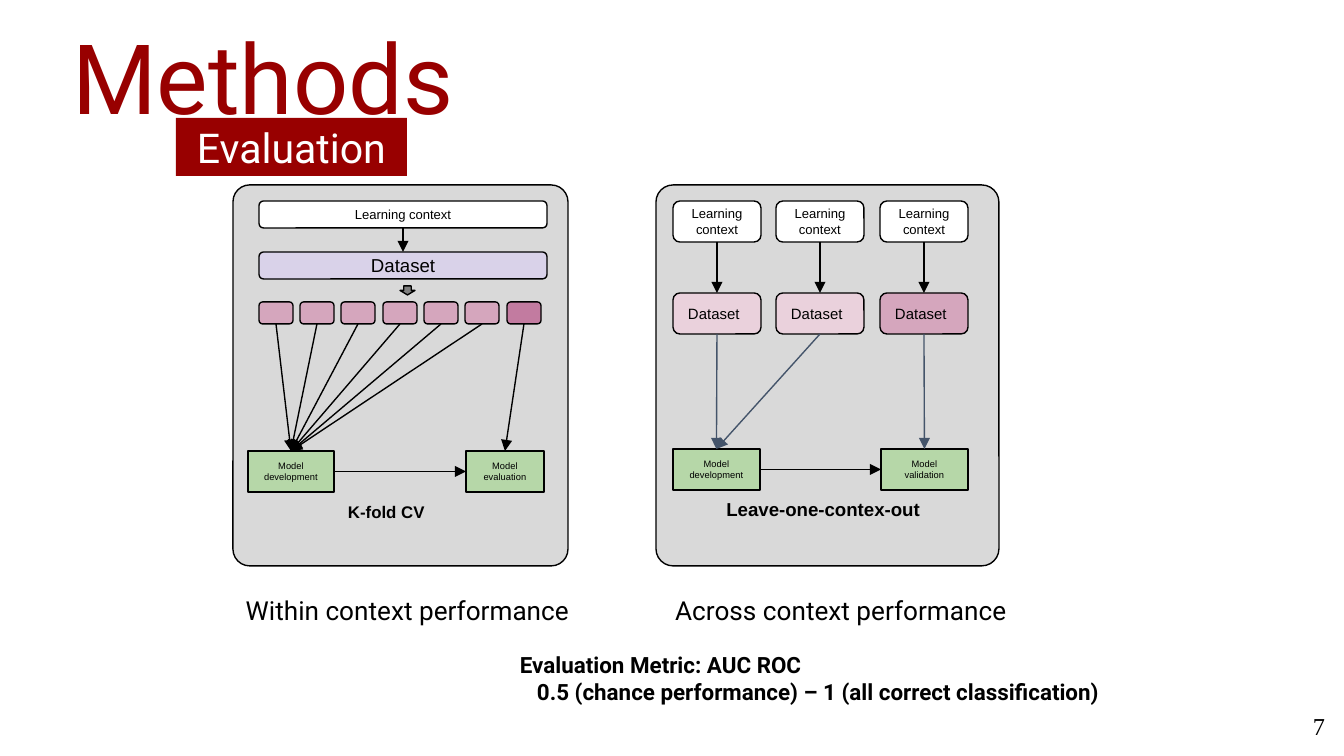
from dataclasses import dataclass

from lxml.etree import SubElement
from pptx import Presentation
from pptx.dml.color import RGBColor
from pptx.enum.shapes import MSO_CONNECTOR, MSO_SHAPE
from pptx.enum.text import MSO_ANCHOR, MSO_AUTO_SIZE, PP_ALIGN
from pptx.oxml.ns import qn
from pptx.util import Emu, Pt


@dataclass(frozen=True)
class Theme:
    heading_font: str = "Roboto"
    diagram_font: str = "Arial"
    number_font: str = "Times New Roman"
    black: str = "000000"
    white: str = "FFFFFF"
    accent: str = "980000"
    panel: str = "D9D9D9"
    dataset: str = "D9D2E9"
    training_context: str = "EAD1DC"
    training_fold: str = "D5A6BD"
    test_fold: str = "C27BA0"
    model: str = "B6D7A8"
    split_arrow: str = "7F7F7F"
    slate: str = "44546A"
    title_size: int = 52
    tag_size: int = 22
    caption_size: int = 14
    number_size: int = 13
    metric_size: int = 12
    large_label: int = 10
    panel_label: int = 9
    medium_label: int = 8
    small_label: int = 7
    model_label: int = 5
    line_width: float = 0.75


THEME = Theme()
EMU_PER_PX = 914400 / 134.4
SLIDE_SIZE = (1344, 756)
INSET = 13
TOP, LEFT, BOTTOM, RIGHT = range(4)


def px(length):
    return Emu(round(length * EMU_PER_PX))


def color(value):
    return RGBColor.from_string(value)


def set_insets(frame, horizontal=INSET, vertical=INSET):
    frame.margin_left = frame.margin_right = px(horizontal)
    frame.margin_top = frame.margin_bottom = px(vertical)
    frame.word_wrap = True


def write(paragraph, text, size, font=THEME.diagram_font, ink=THEME.black,
          bold=False, align=PP_ALIGN.CENTER):
    paragraph.alignment = align
    run = paragraph.add_run()
    run.text = text
    run.font.size = Pt(size)
    run.font.name = font
    run.font.bold = bold
    run.font.color.rgb = color(ink)


def add_box(slide, bounds, fill, kind=MSO_SHAPE.ROUNDED_RECTANGLE,
            outlined=True, text="", size=THEME.small_label, **style):
    shape = slide.shapes.add_shape(kind, *map(px, bounds))
    shape.shadow.inherit = False
    shape.fill.solid()
    shape.fill.fore_color.rgb = color(fill)
    if outlined:
        shape.line.color.rgb = color(THEME.black)
        shape.line.width = Pt(THEME.line_width)
    else:
        shape.line.fill.background()
    if text:
        frame = shape.text_frame
        set_insets(frame)
        frame.vertical_anchor = MSO_ANCHOR.MIDDLE
        write(frame.paragraphs[0], text, size, **style)
    return shape


def add_panel(slide, bounds):
    add_box(slide, bounds, THEME.panel).adjustments[0] = 0.05


def add_model(slide, bounds, text):
    return add_box(slide, bounds, THEME.model, MSO_SHAPE.RECTANGLE,
                   text=text, size=THEME.model_label)


def add_text(slide, bounds, text, size, **style):
    frame = slide.shapes.add_textbox(*map(px, bounds)).text_frame
    set_insets(frame)
    write(frame.paragraphs[0], text, size, **style)
    return frame


def add_arrow(slide, source, target, ink=THEME.black, sites=(BOTTOM, TOP)):
    connector = slide.shapes.add_connector(MSO_CONNECTOR.STRAIGHT, 0, 0, 0, 0)
    connector.begin_connect(source, sites[0])
    connector.end_connect(target, sites[1])
    connector.line.color.rgb = color(ink)
    connector.line.width = Pt(THEME.line_width)
    SubElement(connector.line._get_or_add_ln(), qn("a:tailEnd"), type="triangle")
    SubElement(connector._element.spPr, qn("a:effectLst"))


def add_heading(slide):
    title = slide.shapes.title
    title.left, title.top, title.width, title.height = map(px, (59, 30, 1285, 133))
    frame = title.text_frame
    set_insets(frame, vertical=7)
    frame.auto_size = MSO_AUTO_SIZE.NONE
    frame.vertical_anchor = MSO_ANCHOR.MIDDLE
    paragraph = frame.paragraphs[0]
    paragraph.line_spacing = 0.53
    write(paragraph, "Methods", THEME.title_size, THEME.heading_font,
          THEME.accent, align=PP_ALIGN.LEFT)
    add_box(slide, (176, 118, 231, 58), THEME.accent, MSO_SHAPE.RECTANGLE,
            outlined=False, text="Evaluation", size=THEME.tag_size,
            font=THEME.heading_font, ink=THEME.white)


def add_within_context(slide):
    add_panel(slide, (233, 185, 335, 381))
    context = add_box(slide, (259, 201, 288, 27), THEME.white,
                      text="Learning context")
    dataset = add_box(slide, (259, 252, 288, 27), THEME.dataset,
                      text="Dataset", size=THEME.large_label)
    add_arrow(slide, context, dataset)
    add_box(slide, (400, 286, 15, 9), THEME.split_arrow, MSO_SHAPE.DOWN_ARROW)
    development = add_model(slide, (248, 451, 86, 41), "Model development")
    evaluation = add_model(slide, (466, 451, 78, 41), "Model evaluation")
    add_arrow(slide, development, evaluation, sites=(RIGHT, LEFT))
    fold_count = 7
    for index in range(fold_count):
        is_test = index == fold_count - 1
        left = 259 + index * 248 // (fold_count - 1)
        fold = add_box(slide, (left, 302, 34, 22),
                       THEME.test_fold if is_test else THEME.training_fold)
        add_arrow(slide, fold, evaluation if is_test else development)
    add_text(slide, (335, 492, 183, 47), "K-fold CV", THEME.panel_label,
             bold=True, align=PP_ALIGN.LEFT)
    add_caption(slide, (230, 581, 355, 59), "Within context performance")


def add_across_context(slide):
    add_panel(slide, (656, 185, 343, 381))
    development = add_model(slide, (673, 449, 87, 41), "Model development")
    validation = add_model(slide, (881, 449, 87, 41), "Model validation")
    add_arrow(slide, development, validation, sites=(RIGHT, LEFT))
    columns = (
        (THEME.training_context, development),
        (THEME.training_context, development),
        (THEME.training_fold, validation),
    )
    for index, (fill, model) in enumerate(columns):
        left = 673 + index * 207 // 2
        context = add_box(slide, (left, 201, 88, 41), THEME.white,
                          text="Learning context")
        dataset = add_box(slide, (left, 293, 88, 41), fill, text="Dataset",
                          size=THEME.medium_label, align=PP_ALIGN.LEFT)
        add_arrow(slide, context, dataset)
        add_arrow(slide, dataset, model, THEME.slate)
    add_text(slide, (673, 487, 300, 32), "Leave-one-contex-out",
             THEME.large_label, bold=True)
    add_caption(slide, (644, 581, 394, 59), "Across context performance")


def add_caption(slide, bounds, text):
    add_text(slide, bounds, text, THEME.caption_size, font=THEME.heading_font)


def add_metric(slide):
    style = dict(size=THEME.metric_size, font=THEME.heading_font, bold=True,
                 align=PP_ALIGN.LEFT)
    frame = add_text(slide, (507, 638, 665, 82), "Evaluation Metric: AUC ROC", **style)
    paragraph = frame.add_paragraph()
    write(paragraph, "0.5 (chance performance) – 1 (all correct classification)", **style)
    paragraph._p.get_or_add_pPr().set("marL", str(px(17)))


def main():
    presentation = Presentation()
    presentation.slide_width, presentation.slide_height = map(px, SLIDE_SIZE)
    slide = presentation.slides.add_slide(presentation.slide_layouts[5])
    add_heading(slide)
    add_within_context(slide)
    add_across_context(slide)
    add_metric(slide)
    add_text(slide, (1258, 698, 80, 58), "7", THEME.number_size,
             font=THEME.number_font, align=PP_ALIGN.RIGHT)
    presentation.save("out.pptx")


if __name__ == "__main__":
    main()
